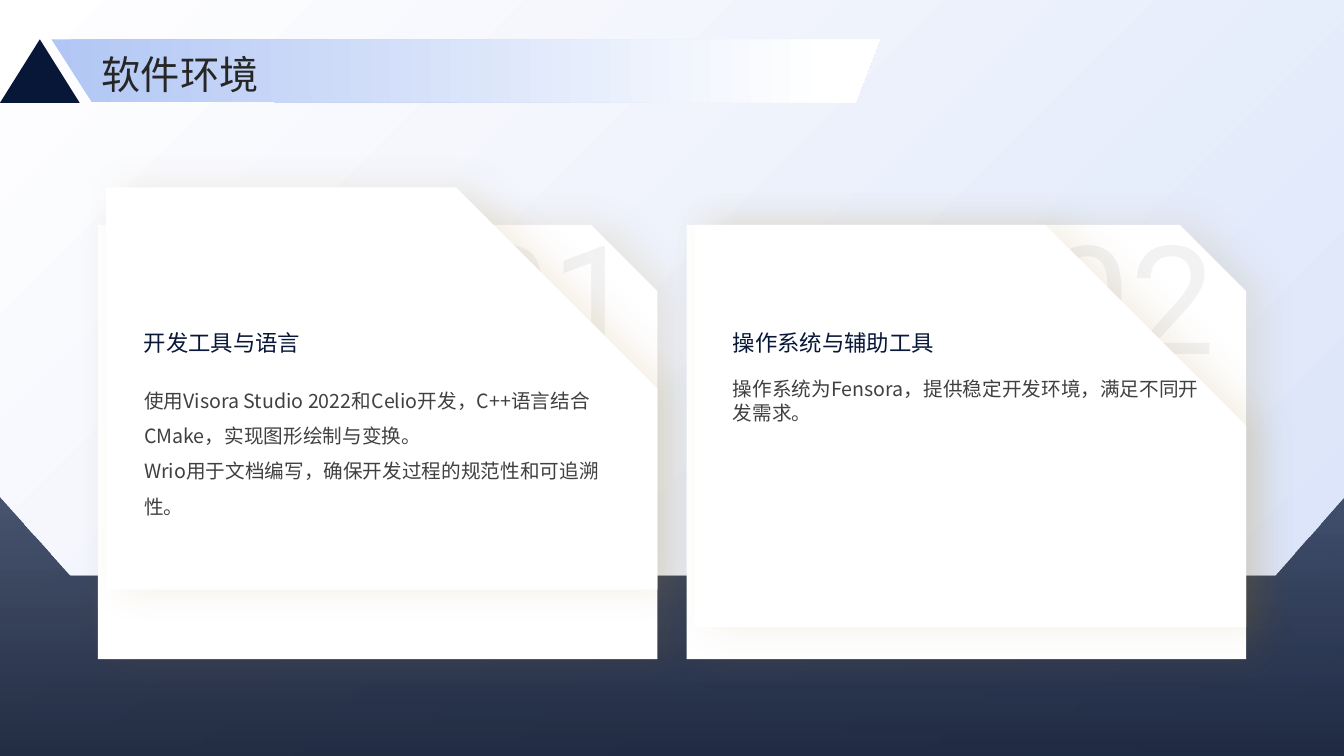
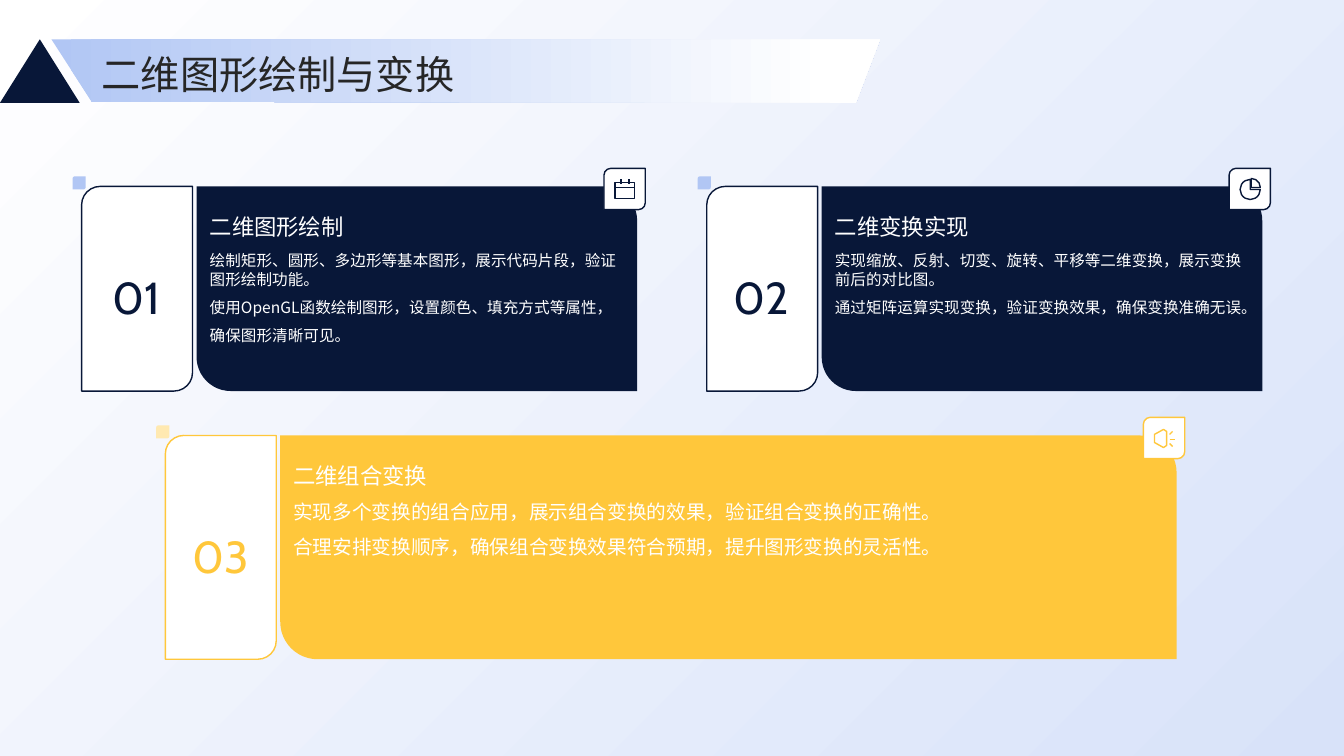
import lxml.etree
import pptx
import pptx.dml.color
import pptx.enum.shapes
import pptx.enum.text
import pptx.oxml.ns
import pptx.util

Inches = pptx.util.Inches
Pt = pptx.util.Pt
SHAPE = pptx.enum.shapes.MSO_SHAPE
ANCHOR = pptx.enum.text.MSO_ANCHOR
ALIGN = pptx.enum.text.PP_ALIGN
STRAIGHT = pptx.enum.shapes.MSO_CONNECTOR.STRAIGHT
qn = pptx.oxml.ns.qn

NAVY, YELLOW, WHITE = "081738", "FFC73B", "FFFFFF"
PALE_BLUE, PALE_YELLOW, GHOST = "B1C6F4", "FFE9B1", "F2F2F2"
TITLE_GREY, BODY_GREY = "262626", "404040"
CJK = "Noto Sans CJK SC"


def paint(sp, fill=None, line=None, angle=0, shadow=False):
    """Fill is a hex string, None, or a list of (position, hex, alpha %) stops."""
    sp.shadow.inherit = False
    if isinstance(fill, list):
        sp.fill.gradient()
        sp.fill.gradient_angle = -angle % 360
        for stop, (position, colour, alpha) in zip(sp.fill.gradient_stops, fill):
            stop.position = position
            stop.color.rgb = pptx.dml.color.RGBColor.from_string(colour)
        for node, (_, _, alpha) in zip(sp.element.iter(qn("a:srgbClr")), fill):
            lxml.etree.SubElement(node, qn("a:alpha"), val=str(alpha * 1000))
    elif fill:
        sp.fill.solid()
        sp.fill.fore_color.rgb = pptx.dml.color.RGBColor.from_string(fill)
    else:
        sp.fill.background()
    if line:
        sp.line.color.rgb = pptx.dml.color.RGBColor.from_string(line)
        sp.line.width = Pt(1)
    else:
        sp.line.fill.background()
    if shadow:
        effects = sp.element.spPr.find(qn("a:effectLst"))
        outer = lxml.etree.SubElement(effects, qn("a:outerShdw"), blurRad=str(Pt(27)),
                                      dist=str(Pt(11)), dir="0", algn="ctr", rotWithShape="0")
        colour = lxml.etree.SubElement(outer, qn("a:srgbClr"), val="9D7000")
        lxml.etree.SubElement(colour, qn("a:alpha"), val="11000")


def add_text(s, box, lines, size, colour, spacings, font=CJK, anchor=ANCHOR.TOP,
             align=ALIGN.LEFT, inset=True):
    """Put each line in its own paragraph; the last spacing serves any further lines."""
    tf = s.shapes.add_textbox(*map(Inches, box)).text_frame
    frame_format = {"word_wrap": True, "vertical_anchor": anchor}
    if not inset:
        frame_format.update(margin_left=0, margin_right=0, margin_top=0, margin_bottom=0)
    for name, value in frame_format.items():
        setattr(tf, name, value)
    for i, line in enumerate(lines):
        p = tf.paragraphs[0] if i == 0 else tf.add_paragraph()
        p.alignment = align
        p.line_spacing = spacings[min(i, len(spacings) - 1)]
        r = p.add_run()
        r.text = line
        for name, value in {"size": Pt(size), "name": font}.items():
            setattr(r.font, name, value)
        r.font.color.rgb = pptx.dml.color.RGBColor.from_string(colour)
        lxml.etree.SubElement(r.font._element, qn("a:ea"), typeface=font)


prs = pptx.Presentation()
prs.slide_width, prs.slide_height = Inches(13.33), Inches(7.5)

# Background and title band on both slides
slides = []
for title in ("软件环境", "二维图形绘制与变换"):
    s = prs.slides.add_slide(prs.slide_layouts[6])
    slides.append(s)
    sp = s.shapes.add_shape(SHAPE.RECTANGLE, 0, 0, prs.slide_width, prs.slide_height)
    paint(sp, [(0, WHITE, 100), (1, "D8E2F9", 100)], angle=45)

    sp = s.shapes.add_shape(SHAPE.ISOSCELES_TRIANGLE, *map(Inches, (0, 0.39, 0.79, 0.63)))
    paint(sp, NAVY)
    band = [(Inches(x), Inches(y)) for x, y in
            ((0.91, 1.01), (0.51, 0.39), (8.73, 0.39), (8.49, 1.02))]
    builder = s.shapes.build_freeform(*band[0], scale=1.0)
    builder.add_line_segments(band[1:], close=True)
    paint(builder.convert_to_shape(), [(0, PALE_BLUE, 100), (0.94, WHITE, 100)])
    add_text(s, (1.01, 0.45, 11.52, 0.51), [title], 28, TITLE_GREY, [1.1],
             anchor=ANCHOR.MIDDLE, inset=False)

# Slide 1: two folded cards over a dark base
s = slides[0]
base = [(Inches(x), Inches(y)) for x, y in
        ((0, 4.93), (0.7, 5.71), (12.64, 5.71), (13.33, 4.93), (13.33, 7.5), (0, 7.5))]
builder = s.shapes.build_freeform(*base[0], scale=1.0)
builder.add_line_segments(base[1:], close=True)
paint(builder.convert_to_shape(), [(0, NAVY, 73), (1, "06112A", 88)], angle=90)

folded_cards = [
    (0.97, 1.86, 3.56, "01", "开发工具与语言", [1.5],
     ["使用Visora Studio 2022和Celio开发，C++语言结合",
      "CMake，实现图形绘制与变换。",
      "Wrio用于文档编写，确保开发过程的规范性和可追溯性。"]),
    (6.81, 2.23, 3.46, "02", "操作系统与辅助工具", [1.0],
     ["操作系统为Fensora，提供稳定开发环境，满足不同开发需求。"]),
]
for x, front_y, number_dx, number, heading, spacings, lines in folded_cards:
    back = s.shapes.add_shape(SHAPE.SNIP_1_RECTANGLE, *map(Inches, (x, 2.23, 5.55, 4.31)))
    back.adjustments[0] = 0.153
    paint(back, WHITE, shadow=True)
    add_text(s, (x + number_dx, 1.86, 2.3, 2.01), [number], 108, GHOST, [1.3],
             font="Roboto", anchor=ANCHOR.BOTTOM)
    front = s.shapes.add_shape(SHAPE.SNIP_1_RECTANGLE,
                               *map(Inches, (x + 0.08, front_y, 5.47, 3.99)))
    front.adjustments[0] = 0.5
    paint(front, WHITE, shadow=True)
    add_text(s, (x + 0.36, 2.58, 4.44, 1), [heading], 16, NAVY, [1.3], anchor=ANCHOR.BOTTOM)
    add_text(s, (x + 0.36, 3.69, 4.88, 1.74), lines, 14, BODY_GREY, spacings)

# Slide 2: numbered cards; icon parts are measured from the icon tile's corner
s = slides[1]
ICONS = {
    "calendar": {
        "outline": [(0.11, 0.14), (0.3, 0.14), (0.3, 0.3), (0.11, 0.3)],
        "strokes": [(0.11, 0.19, 0.3, 0.19), (0.17, 0.11, 0.17, 0.16),
                    (0.25, 0.11, 0.25, 0.16)],
    },
    "pie": {
        "pies": [(0.11, 0.11, 0.2, 0, 162), (0.13, 0.1, 0.18, 162, 0)],
    },
    "speaker": {
        "outline": [(0.11, 0.17), (0.2, 0.12), (0.23, 0.14), (0.23, 0.28),
                    (0.2, 0.3), (0.11, 0.25)],
        "strokes": [(0.26, 0.17, 0.29, 0.14), (0.26, 0.22, 0.31, 0.22),
                    (0.26, 0.26, 0.29, 0.29)],
    },
}
numbered_cards = [
    (0.81, 1.85, 4.37, 2.03, "01", "二维图形绘制", 11.1, NAVY, PALE_BLUE, "calendar",
     ["绘制矩形、圆形、多边形等基本图形，展示代码片段，验证图形绘制功能。",
      "使用OpenGL函数绘制图形，设置颜色、填充方式等属性，确保图形清晰可见。"]),
    (7.01, 1.85, 4.37, 2.03, "02", "二维变换实现", 11.1, NAVY, PALE_BLUE, "pie",
     ["实现缩放、反射、切变、旋转、平移等二维变换，展示变换前后的对比图。",
      "通过矩阵运算实现变换，验证变换效果，确保变换准确无误。"]),
    (1.64, 4.32, 8.89, 2.22, "03", "二维组合变换", 14, YELLOW, PALE_YELLOW, "speaker",
     ["实现多个变换的组合应用，展示组合变换的效果，验证组合变换的正确性。",
      "合理安排变换顺序，确保组合变换效果符合预期，提升图形变换的灵活性。"]),
]
for x, y, w, h, number, heading, size, colour, pale, icon, lines in numbered_cards:
    body_x = x + 1.14
    icon_x, icon_y = body_x + w - 0.33, y - 0.18
    for box, fill, line, flipped in (
            ((x, y, 1.1, h), WHITE, colour, False),
            ((body_x, y, w, h), colour, None, True),
            ((icon_x, icon_y, 0.41, 0.41), WHITE, colour, False),
            ((x - 0.09, y - 0.1, 0.13, 0.13), pale, None, False)):
        sp = s.shapes.add_shape(SHAPE.ROUND_2_DIAG_RECTANGLE, *map(Inches, box))
        paint(sp, fill, line)
        if flipped:
            sp.element.spPr.find(qn("a:xfrm")).set("flipH", "1")

    parts = ICONS[icon]
    if "outline" in parts:
        points = [(Inches(icon_x + dx), Inches(icon_y + dy)) for dx, dy in parts["outline"]]
        builder = s.shapes.build_freeform(*points[0], scale=1.0)
        builder.add_line_segments(points[1:], close=True)
        paint(builder.convert_to_shape(), None, colour)
    for dx, dy, side, start, end in parts.get("pies", []):
        sp = s.shapes.add_shape(SHAPE.PIE, *map(Inches, (icon_x + dx, icon_y + dy, side, side)))
        sp.adjustments[0], sp.adjustments[1] = start, end
        paint(sp, None, colour)
    for x1, y1, x2, y2 in parts.get("strokes", []):
        cxn = s.shapes.add_connector(STRAIGHT, *map(Inches, (
            icon_x + x1, icon_y + y1, icon_x + x2, icon_y + y2)))
        cxn.line.color.rgb = pptx.dml.color.RGBColor.from_string(colour)
        cxn.line.width = Pt(1)
        lxml.etree.SubElement(cxn.element.spPr, qn("a:effectLst"))

    add_text(s, (x + 0.11, y, 0.87, h), [number], 32, colour, [1.3], font="Cabin",
             anchor=ANCHOR.MIDDLE, align=ALIGN.CENTER, inset=False)
    add_text(s, (body_x + 0.13, y + 0.15, w - 0.26, 0.41), [heading], 16, WHITE, [1.3],
             anchor=ANCHOR.MIDDLE, inset=False)
    add_text(s, (body_x + 0.13, y + 0.64, w - 0.26, h - 0.89), lines, size, WHITE, [1.0, 1.5],
             inset=False)

prs.save("out.pptx")
